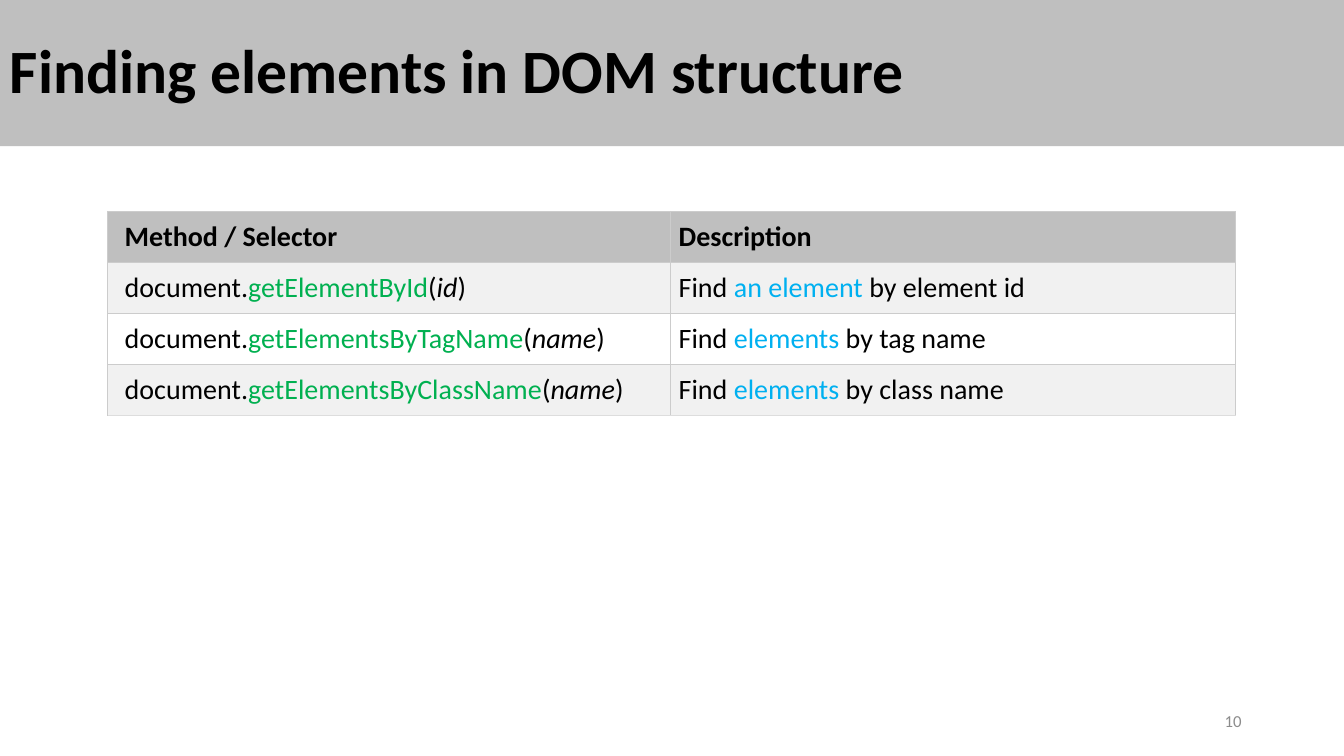
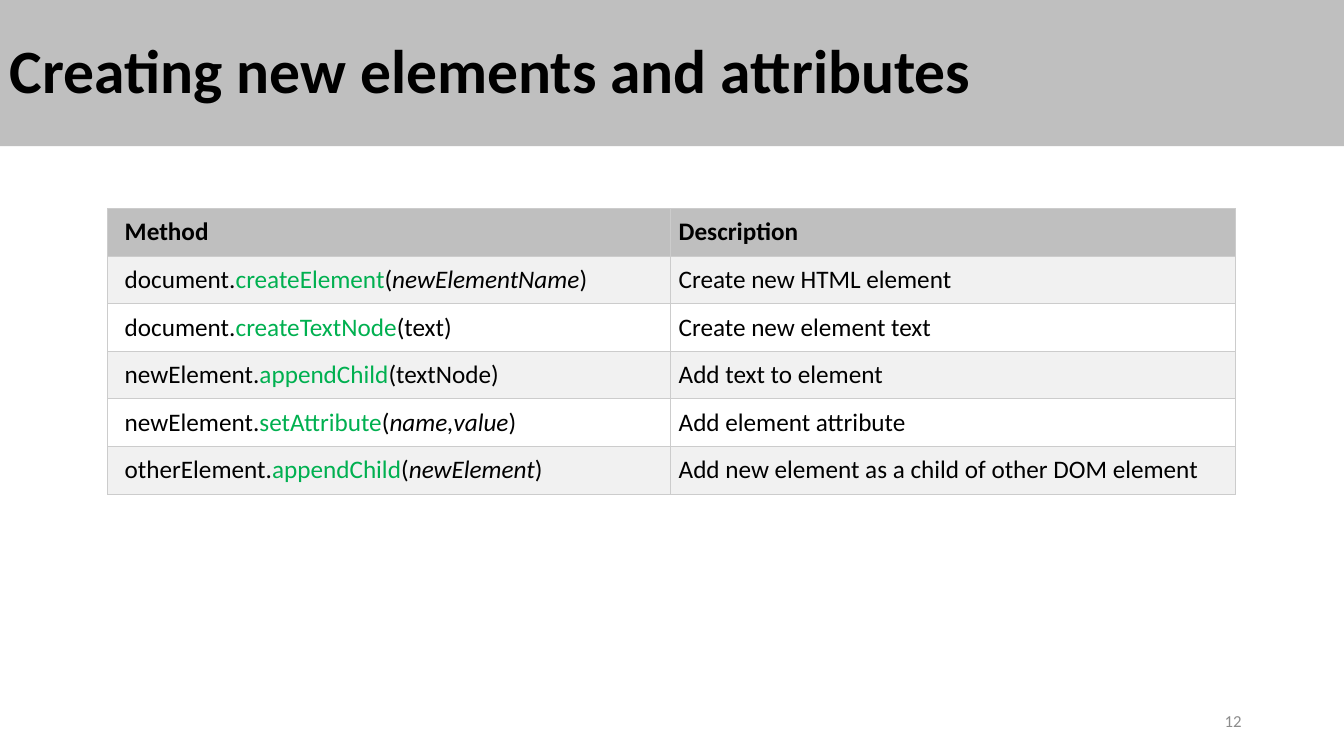
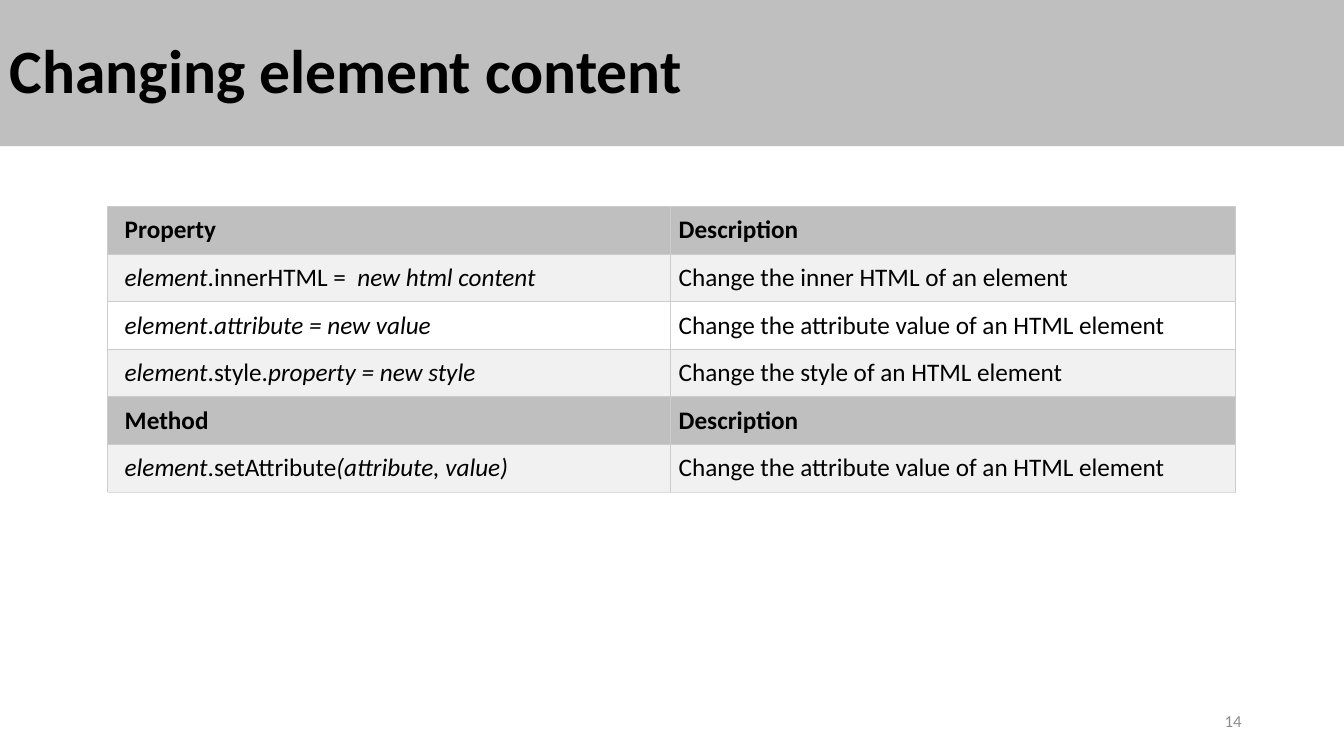
from dataclasses import dataclass
from typing import NamedTuple

from lxml.etree import SubElement
from pptx import Presentation
from pptx.dml.color import RGBColor
from pptx.enum.shapes import MSO_SHAPE as Shape
from pptx.enum.text import MSO_ANCHOR as Anchor, PP_ALIGN as Align
from pptx.oxml.ns import qn
from pptx.util import Pt

FONT = "Calibri"
BLACK = "000000"
WHITE = "FFFFFF"
BAND_GREY = "BFBFBF"
STRIPE_GREY = "F1F1F1"
BORDER_GREY = "CCCCCC"
PALE_BORDER = "DDDDDD"
NUMBER_GREY = "8C8C8C"
METHOD_GREEN = "00B050"
TARGET_BLUE = "00B0F0"

SLIDE_WIDTH, SLIDE_HEIGHT = 960, 540
BAND_HEIGHT = 104.4
TABLE_LEFT = 77.1
COLUMN_WIDTHS = (401.7, 403.5)
CELL_MARGIN = 6
FIRST_COLUMN_MARGIN = 12
BORDER_WIDTH = 0.75


class Run(NamedTuple):
    text: str
    color: str = BLACK
    italic: bool = False
    bold: bool = False


class Row(NamedTuple):
    cells: tuple[list[Run], list[Run]]
    is_header: bool = False


@dataclass
class ReferencePage:
    title: str
    number: int
    table_top: float
    row_height: float
    text_size: float
    rows: list[Row]
    bottom_border: str = BORDER_GREY


def header(left: str, right: str = "Description") -> Row:
    return Row(([Run(left, bold=True)], [Run(right, bold=True)]), True)


def call(owner: str, method: str, argument: str, description: list[Run],
         italic: bool = True) -> Row:
    """A method call with a green name and, as a rule, an italic argument."""
    if italic:
        arguments = [Run("("), Run(argument, italic=True), Run(")")]
    else:
        arguments = [Run(f"({argument})")]
    return Row(([Run(owner + "."), Run(method, METHOD_GREEN), *arguments], description))


def find(target: str, criterion: str) -> list[Run]:
    return [Run("Find "), Run(target, TARGET_BLUE), Run(f" by {criterion}")]


def change(member: str, rest: str, description: str) -> Row:
    """An expression on an element: upright member, italic remainder."""
    expression = [Run("element", italic=True), Run(member), Run(rest, italic=True)]
    return Row((expression, [Run(description)]))


PAGES = [
    ReferencePage("Finding elements in DOM structure", 10, 150.9, 36.4, 20, [
        header("Method / Selector"),
        call("document", "getElementById", "id", find("an element", "element id")),
        call("document", "getElementsByTagName", "name", find("elements", "tag name")),
        call("document", "getElementsByClassName", "name", find("elements", "class name")),
    ], PALE_BORDER),
    ReferencePage("Creating new elements and attributes", 12, 149, 34, 18, [
        header("Method"),
        call("document", "createElement", "newElementName",
             [Run("Create new HTML element")]),
        call("document", "createTextNode", "text",
             [Run("Create new element text")], italic=False),
        call("newElement", "appendChild", "textNode",
             [Run("Add text to element")], italic=False),
        call("newElement", "setAttribute", "name,value",
             [Run("Add element attribute")]),
        call("otherElement", "appendChild", "newElement",
             [Run("Add new element as a child of other DOM element")]),
    ]),
    ReferencePage("Changing element content", 14, 147.5, 34, 18, [
        header("Property"),
        change(".innerHTML =  ", "new html content", "Change the inner HTML of an element"),
        change(".", "attribute = new value", "Change the attribute value of an HTML element"),
        change(".style.", "property = new style", "Change the style of an HTML element"),
        header("Method"),
        change(".setAttribute", "(attribute, value)",
               "Change the attribute value of an HTML element"),
    ], PALE_BORDER),
]


def rgb(color: str) -> RGBColor:
    return RGBColor.from_string(color)


def set_fill(target, color: str) -> None:
    target.fill.solid()
    target.fill.fore_color.rgb = rgb(color)


def add_runs(paragraph, runs: list[Run], size: float) -> None:
    for part in runs:
        run = paragraph.add_run()
        run.text = part.text
        font = run.font
        font.name, font.size = FONT, Pt(size)
        font.bold, font.italic = part.bold, part.italic
        font.color.rgb = rgb(part.color)


def set_borders(cell, bottom: str) -> None:
    properties = cell._tc.get_or_add_tcPr()
    for side in ("lnL", "lnR", "lnT", "lnB"):
        line = SubElement(properties, qn(f"a:{side}"), w=str(Pt(BORDER_WIDTH)))
        fill = SubElement(line, qn("a:solidFill"))
        SubElement(fill, qn("a:srgbClr"), val=bottom if side == "lnB" else BORDER_GREY)


def add_reference_table(slide, page: ReferencePage) -> None:
    table = slide.shapes.add_table(
        len(page.rows), len(COLUMN_WIDTHS), Pt(TABLE_LEFT), Pt(page.table_top),
        Pt(sum(COLUMN_WIDTHS)), Pt(page.row_height * len(page.rows))).table
    table.first_row = table.horz_banding = False
    for column, width in zip(table.columns, COLUMN_WIDTHS):
        column.width = Pt(width)
    last = len(page.rows) - 1
    for index, row in enumerate(page.rows):
        table.rows[index].height = Pt(page.row_height)
        stripe = STRIPE_GREY if index % 2 else WHITE
        for column_index, runs in enumerate(row.cells):
            cell = table.cell(index, column_index)
            cell.margin_left = Pt(CELL_MARGIN if column_index else FIRST_COLUMN_MARGIN)
            cell.margin_right = cell.margin_top = cell.margin_bottom = Pt(CELL_MARGIN)
            set_borders(cell, page.bottom_border if index == last else BORDER_GREY)
            set_fill(cell, BAND_GREY if row.is_header else stripe)
            add_runs(cell.text_frame.paragraphs[0], runs, page.text_size)


def add_page_number(slide, number: int) -> None:
    box = slide.shapes.add_textbox(Pt(678), Pt(500.5), Pt(216), Pt(28.75))
    frame = box.text_frame
    frame.word_wrap = True
    frame.vertical_anchor = Anchor.MIDDLE
    paragraph = frame.paragraphs[0]
    paragraph.alignment = Align.RIGHT
    add_runs(paragraph, [Run(str(number), NUMBER_GREY)], 12)


def add_title_band(slide, title: str) -> None:
    band = slide.shapes.add_shape(Shape.RECTANGLE, 0, 0, Pt(SLIDE_WIDTH), Pt(BAND_HEIGHT))
    band.shadow.inherit = False
    set_fill(band, BAND_GREY)
    band.line.fill.background()
    frame = band.text_frame
    frame.word_wrap = True
    frame.vertical_anchor = Anchor.MIDDLE
    paragraph = frame.paragraphs[0]
    paragraph.alignment = Align.LEFT
    paragraph.line_spacing = 0.9
    add_runs(paragraph, [Run(title, bold=True)], 44)


def main() -> None:
    deck = Presentation()
    deck.slide_width, deck.slide_height = Pt(SLIDE_WIDTH), Pt(SLIDE_HEIGHT)
    blank = deck.slide_layouts[6]
    for page in PAGES:
        slide = deck.slides.add_slide(blank)
        add_reference_table(slide, page)
        add_page_number(slide, page.number)
        add_title_band(slide, page.title)
    deck.save("out.pptx")


if __name__ == "__main__":
    main()
